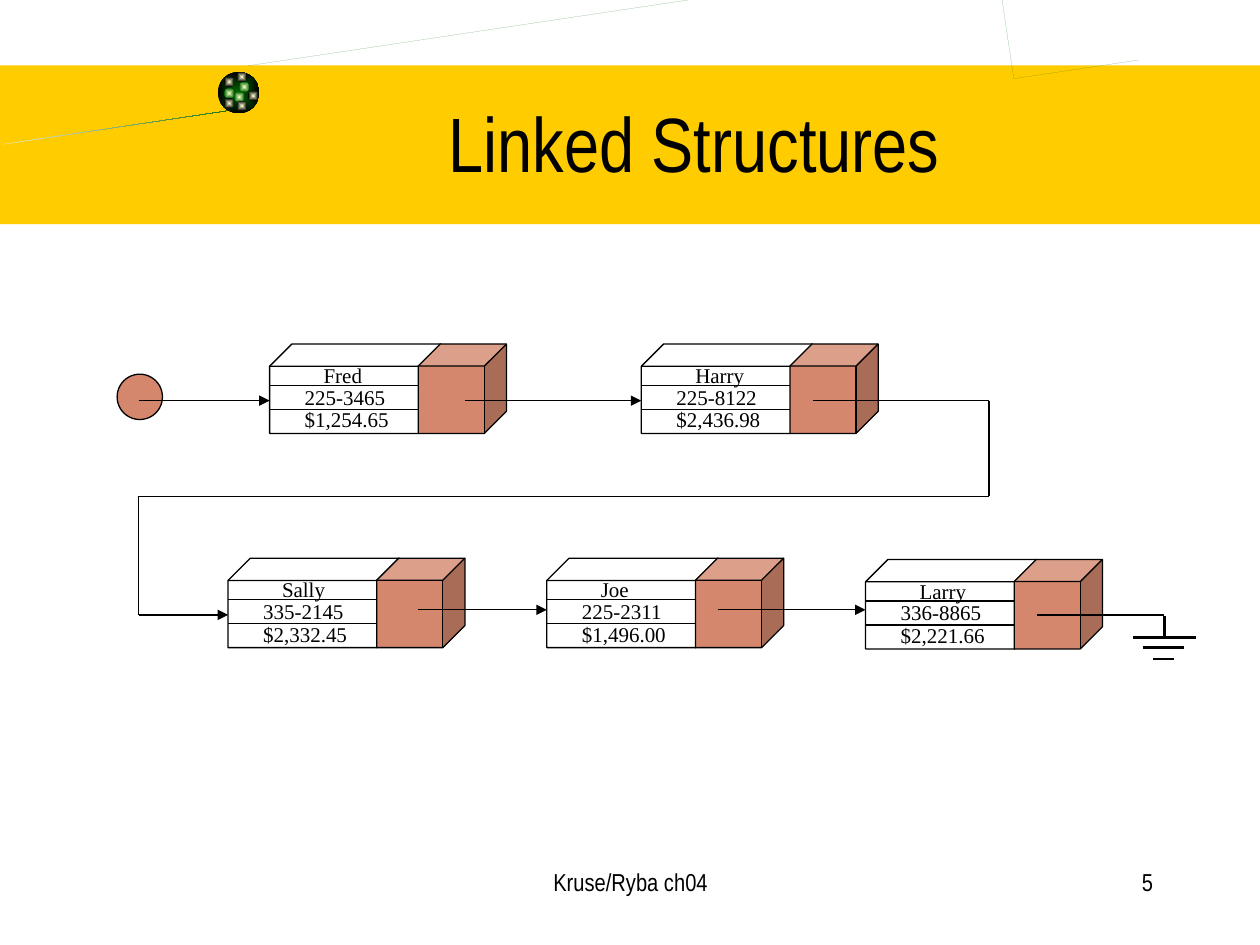
import math

from pptx import Presentation
from pptx import util as u
from pptx.dml.color import RGBColor
from pptx.enum import shapes, text
from pptx.oxml.ns import qn
from lxml import etree

HUES = {"band": "FFCC00", "green": "006600", "cream": "F5EBC1", "glow": "FFFFCC",
        "clay": "D4876C", "ink": "000000"}
TILT = 351.5
TAIL = ((-0.03, 0.91, 1.84, 0.3), (1.78, 0.78), [
    ((0.91, 0.98), (0.49, 1.16), (0.25, 1.26)),
    ((0.01, 1.34), (0.26, 1.26), (0.31, 1.29)),
    ((0.57, 1.22), (0.57, 1.13), (1.79, 0.82))])
LOOP = ((2.01, -0.15, 7.16, 1.09), (2.02, 0.73), [
    ((2.46, 0.65), (4.86, -0.05), (8.14, 0.07)),
    ((9.17, 0.12), (8.57, 0.47), (8.45, 0.52)),
    ((8.45, 0.52), (8.38, 0.52), (8.34, 0.53)),
    ((8.44, 0.49), (9.16, 0.16), (8.13, 0.11)),
    ((5.48, 0.03), (3.2, 0.47), (2.06, 0.77))])
DOTS = [(1.9, 0.65, "green"), (1.78, 0.61, "ink"), (1.78, 0.7, "green"),
        (1.86, 0.73, "green"), (1.97, 0.72, "ink"), (1.88, 0.8, "ink"),
        (1.78, 0.78, "ink"), (1.88, 0.57, "ink")]
NODES = [(2.14, 2.73, ("Fred", "225-3465", "$1,254.65")),
         (5.09, 2.73, ("Harry", "225-8122", "$2,436.98")),
         (1.81, 4.43, ("Sally", "335-2145", "$2,332.45")),
         (4.34, 4.43, ("Joe", "225-2311", "$1,496.00")),
         (6.87, 4.44, ("Larry", "336-8865", "$2,221.66"))]
ROWS = [(0.33, 0.1, 0.66), (0.18, 0.27, 1.12), (0.18, 0.45, 1.12)]
LINKS = [((1.1, 3.18), (2.14, 3.18)), ((3.69, 3.18), (5.09, 3.18)),
         ((3.32, 4.84), (4.34, 4.84)), ((5.7, 4.84), (6.87, 4.84))]
ROUTE = [(6.45, 3.18), (7.85, 3.18), (7.85, 3.94), (1.1, 3.94), (1.1, 4.88), (1.81, 4.88)]
GROUND = [((9.07, 5.14), (9.4, 5.14)), ((9.15, 5.23), (9.32, 5.23)),
          ((8.99, 5.06), (9.49, 5.06)), ((9.24, 5.06), (9.24, 4.89))]


def hue(name):
    """Return the named colour."""
    return RGBColor.from_string(HUES[name])


def paint(shape, fill=None, edge=None):
    """Set a plain fill and outline, or none."""
    shape.shadow.inherit = False
    if fill:
        shape.fill.solid()
        shape.fill.fore_color.rgb = hue(fill)
    else:
        shape.fill.background()
    if edge:
        shape.line.color.rgb = hue(edge)
        shape.line.width = u.Pt(0.75)
    else:
        shape.line.fill.background()
    return shape


def blend(shape, start, end, box=False):
    """Fill with a two-colour gradient, linear or from the centre."""
    shape.fill.gradient()
    shape.fill.gradient_angle = 0
    for stop, name, spot in zip(shape.fill.gradient_stops, (start, end), (0, 1)):
        stop.color.rgb = hue(name)
        stop.position = spot
    if box:
        grad = shape.fill._xPr.find(qn("a:gradFill"))
        grad.remove(grad.find(qn("a:lin")))
        core = etree.SubElement(grad, qn("a:path"))
        core.set("path", "rect")
        rect = etree.SubElement(core, qn("a:fillToRect"))
        for side in "ltrb":
            rect.set(side, "50000")


def solid(slide, kind, left, top, width, height, fill=None, edge=None):
    """Add a preset shape."""
    shape = slide.shapes.add_shape(
        getattr(shapes.MSO_SHAPE, kind), *map(u.Inches, (left, top, width, height)))
    return paint(shape, fill, edge)


def curve(start, parts, steps=16):
    """Turn Bezier parts into a list of points."""
    points = [start]
    for one, two, end in parts:
        base = points[-1]
        for step in range(1, steps + 1):
            t = step / steps
            s = 1 - t
            points.append(tuple(
                s ** 3 * a + 3 * s * s * t * b + 3 * s * t * t * c + t ** 3 * d
                for a, b, c, d in zip(base, one, two, end)))
    return points


def swoosh(slide, frame, start, parts):
    """Draw a tilted curved outline."""
    left, top, width, height = frame
    midx, midy = left + width / 2, top + height / 2
    turn = math.radians(360 - TILT)
    cos, sin = math.cos(turn), math.sin(turn)
    points = [(midx + (x - midx) * cos - (y - midy) * sin,
               midy + (x - midx) * sin + (y - midy) * cos)
              for x, y in curve(start, parts)]
    pen = slide.shapes.build_freeform(*points[0], scale=u.Inches(1))
    pen.add_line_segments(points[1:], close=True)
    shape = paint(pen.convert_to_shape(), "green")
    shape.rotation = TILT
    return shape


def line(slide, start, end, width=0.75, head=False):
    """Add a straight line, with an arrowhead if wanted."""
    link = slide.shapes.add_connector(
        shapes.MSO_CONNECTOR.STRAIGHT, *map(u.Inches, (*start, *end)))
    link.line.color.rgb = hue("ink")
    link.line.width = u.Pt(width)
    if head:
        etree.SubElement(link.line._get_or_add_ln(), qn("a:tailEnd")).set("type", "triangle")
    etree.SubElement(link._element.spPr, qn("a:effectLst"))


def label(slide, words, left, top, width, height, size, font="Arial Narrow",
          align="LEFT", anchor="TOP", gap=0):
    """Add a one-paragraph text box."""
    box = slide.shapes.add_textbox(*map(u.Inches, (left, top, width, height)))
    frame = box.text_frame
    frame.word_wrap = True
    frame.vertical_anchor = getattr(text.MSO_ANCHOR, anchor)
    para = frame.paragraphs[0]
    para.text = words
    para.alignment = getattr(text.PP_ALIGN, align)
    para.space_before = u.Pt(gap)
    para.font.size = u.Pt(size)
    para.font.name = font
    para.font.color.rgb = hue("ink")


def node(slide, left, top, words):
    """Draw a record with its link cube."""
    solid(slide, "CUBE", left, top, 1.36, 0.71, None, "ink")
    solid(slide, "CUBE", left + 1.18, top, 0.7, 0.71, "clay", "ink")
    for drop in (0.33, 0.52):
        line(slide, (left, top + drop), (left + 1.18, top + drop))
    for word, (dx, dy, width) in zip(words, ROWS):
        label(slide, word, left + dx, top + dy, width, 0.3, 12, "Times New Roman", gap=7.5)


def decor(slide):
    """Draw the title band, the swooshes and the ball."""
    solid(slide, "RECTANGLE", 0, 0.52, 10, 1.26, "band")
    blend(swoosh(slide, *TAIL), "cream", "green")
    swoosh(slide, *LOOP)
    blend(solid(slide, "OVAL", 1.73, 0.57, 0.33, 0.33), "green", "ink", True)
    for left, top, rim in DOTS:
        blend(solid(slide, "OVAL", left, top, 0.08, 0.08), "glow", rim, True)


def main():
    """Build the slide and save it."""
    deck = Presentation()
    deck.slide_width, deck.slide_height = u.Inches(10), u.Inches(7.5)
    slide = deck.slides.add_slide(deck.slide_layouts[6])
    decor(slide)
    label(slide, "Kruse/Ryba ch04", 3.42, 6.83, 3.17, 0.5, 14, align="CENTER")
    label(slide, "5", 7.17, 6.83, 2.08, 0.5, 14, align="RIGHT")
    label(slide, "Linked Structures", 1.26, 0.5, 8.5, 1.25, 44, align="CENTER", anchor="MIDDLE")
    for item in NODES:
        node(slide, *item)
    solid(slide, "OVAL", 0.93, 2.97, 0.36, 0.36, "clay", "ink")
    for start, end in LINKS:
        line(slide, start, end, head=True)
    line(slide, (8.23, 4.88), (9.24, 4.88))
    for start, end in GROUND:
        line(slide, start, end, 1.5)
    for start, end in zip(ROUTE, ROUTE[1:]):
        line(slide, start, end, head=end == ROUTE[-1])
    deck.save("out.pptx")


if __name__ == "__main__":
    main()
